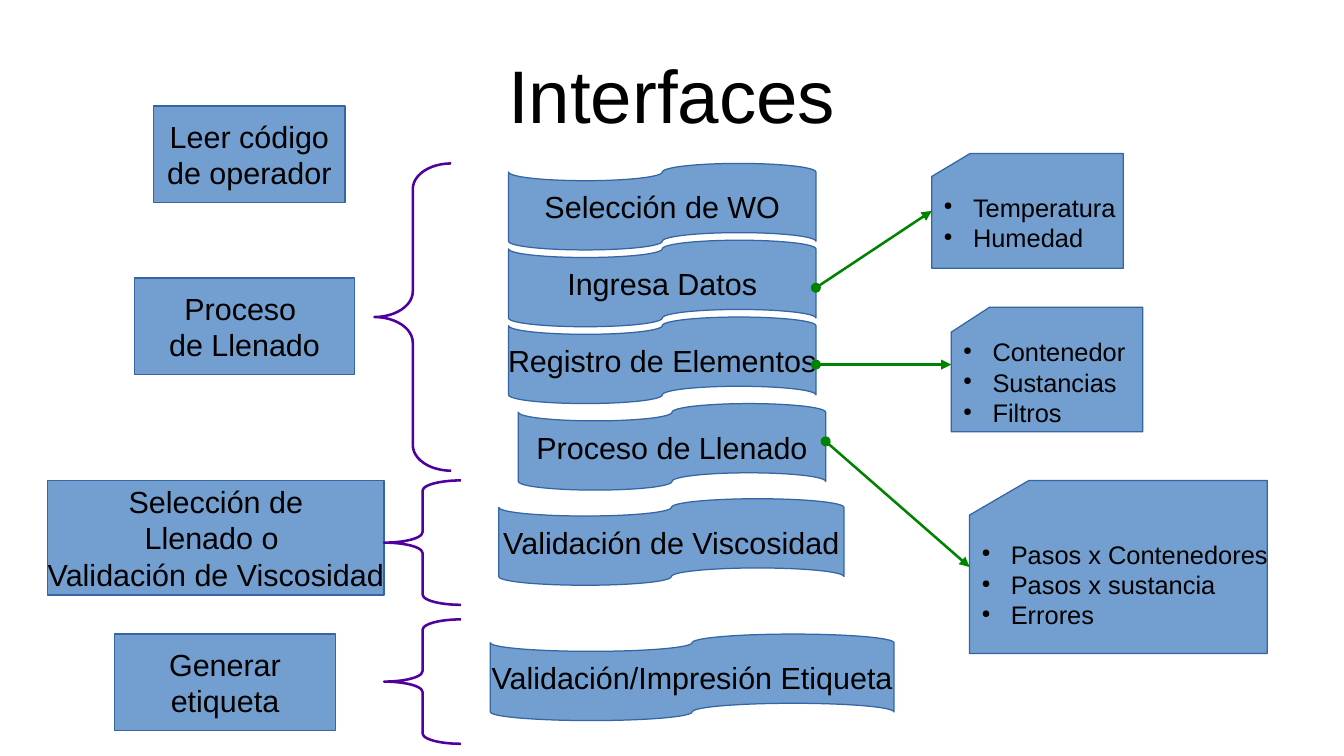
"""Build the "Interfaces" slide: process steps, their screens and the data captured."""
from dataclasses import dataclass
from typing import Optional

from lxml import etree
from pptx import Presentation
from pptx import util as u
from pptx.dml.color import RGBColor
from pptx.enum import shapes, text
from pptx.oxml import ns


@dataclass(frozen=True)
class Theme:
    """Colours, font and type sizes of the slide."""
    font: str = "Arial"
    ink: str = "000000"
    fill: str = "729FCF"
    outline: str = "3465A4"
    brace: str = "4F009E"
    arrow: str = "008400"
    title_size: int = 44
    box_size: int = 18
    list_size: int = 15
    line_width: float = 1.5


@dataclass(frozen=True)
class Box:
    """A filled shape with its lines of text."""
    kind: shapes.MSO_SHAPE
    left: float
    top: float
    width: float
    height: float
    lines: tuple[str, ...]


@dataclass(frozen=True)
class Brace:
    """A left brace that groups several screens."""
    left: float
    top: float
    height: float


@dataclass(frozen=True)
class Arrow:
    """An arrow from a screen to a card, joined to the card if one is given."""
    start: tuple[float, float]
    end: tuple[float, float]
    card: Optional[int] = None


THEME = Theme()
RECTANGLE = shapes.MSO_SHAPE.RECTANGLE
TAPE = shapes.MSO_SHAPE.FLOWCHART_PUNCHED_TAPE
CARD = shapes.MSO_SHAPE.FLOWCHART_CARD
TAPE_HEIGHT = 0.71
BRACE_WIDTH = 0.63
LEFT_SIDE = 1

STEPS = (
    Box(RECTANGLE, 1.26, 0.87, 1.57, 0.79, ("Leer código", "de operador")),
    Box(RECTANGLE, 1.1, 2.28, 1.81, 0.79, ("Proceso ", "de Llenado")),
    Box(RECTANGLE, 0.39, 3.94, 2.76, 0.94,
        ("Selección de", "Llenado o ", "Validación de Viscosidad")),
    Box(RECTANGLE, 0.94, 5.2, 1.81, 0.79, ("Generar", "etiqueta")),
)
SCREENS = (
    Box(TAPE, 4.17, 1.34, 2.52, TAPE_HEIGHT, ("Selección de WO",)),
    Box(TAPE, 4.17, 1.97, 2.52, TAPE_HEIGHT, ("Ingresa Datos",)),
    Box(TAPE, 4.17, 2.6, 2.52, TAPE_HEIGHT, ("Registro de Elementos",)),
    Box(TAPE, 4.25, 3.31, 2.52, TAPE_HEIGHT, ("Proceso de Llenado",)),
    Box(TAPE, 4.09, 4.09, 2.83, TAPE_HEIGHT, ("Validación de Viscosidad",)),
    Box(TAPE, 4.02, 5.2, 3.31, TAPE_HEIGHT, ("Validación/Impresión Etiqueta",)),
)
CARDS = (
    Box(CARD, 7.64, 1.26, 1.57, 0.94, ("Temperatura", "Humedad")),
    Box(CARD, 7.8, 2.52, 1.57, 1.02, ("Contenedor", "Sustancias", "Filtros")),
    Box(CARD, 7.95, 3.94, 2.44, 1.42,
        ("Pasos x Contenedores", "Pasos x sustancia", "Errores")),
)
BRACES = (Brace(3.07, 1.34, 2.52), Brace(3.15, 3.94, 1.02), Brace(3.15, 5.08, 1.02))
ARROWS = (
    Arrow((6.69, 2.36), (7.64, 1.73), card=0),
    Arrow((6.69, 2.99), (7.8, 2.99)),
    Arrow((6.77, 3.62), (7.95, 4.65), card=2),
)


def add_bullet(paragraph) -> None:
    """Give a paragraph a small round bullet and a hanging indent."""
    properties = paragraph._p.get_or_add_pPr()
    properties.set("marL", str(u.Inches(0.24)))
    properties.set("indent", str(-u.Inches(0.24)))
    colour = etree.SubElement(properties, ns.qn("a:buClr"))
    etree.SubElement(colour, ns.qn("a:srgbClr"), val=THEME.ink)
    etree.SubElement(properties, ns.qn("a:buSzPct"), val="45000")
    etree.SubElement(properties, ns.qn("a:buChar"), char="●")


def write_text(shape, lines: tuple[str, ...], *, size: float, wrap: bool = False,
               bulleted: bool = False, margins: tuple[float, float] = (0.1, 0.05)) -> None:
    """Write one paragraph per line into a shape."""
    frame = shape.text_frame
    frame.word_wrap = wrap
    frame.auto_size = text.MSO_AUTO_SIZE.NONE
    frame.vertical_anchor = text.MSO_ANCHOR.MIDDLE
    frame.margin_left = frame.margin_right = u.Inches(margins[0])
    frame.margin_top = frame.margin_bottom = u.Inches(margins[1])
    for index, line in enumerate(lines):
        paragraph = frame.add_paragraph() if index else frame.paragraphs[0]
        paragraph.alignment = text.PP_ALIGN.LEFT if bulleted else text.PP_ALIGN.CENTER
        if bulleted:
            add_bullet(paragraph)
        run = paragraph.add_run()
        run.text = line
        run.font.name = THEME.font
        run.font.size = u.Pt(size)
        run.font.color.rgb = RGBColor.from_string(THEME.ink)


def draw_line(line, colour: str, width: float) -> None:
    """Set the colour and width of a line."""
    line.color.rgb = RGBColor.from_string(colour)
    line.width = u.Pt(width)


def add_box(slide, box: Box):
    """Draw a filled shape and return it."""
    shape = slide.shapes.add_shape(
        box.kind, *map(u.Inches, (box.left, box.top, box.width, box.height)))
    shape.shadow.inherit = False
    shape.fill.solid()
    shape.fill.fore_color.rgb = RGBColor.from_string(THEME.fill)
    draw_line(shape.line, THEME.outline, 0)
    is_card = box.kind == CARD
    write_text(shape, box.lines, bulleted=is_card,
               size=THEME.list_size if is_card else THEME.box_size)
    return shape


def add_brace(slide, brace: Brace) -> None:
    """Draw a left brace whose curves each take a twelfth of its height."""
    shape = slide.shapes.add_shape(
        shapes.MSO_SHAPE.LEFT_BRACE,
        *map(u.Inches, (brace.left, brace.top, BRACE_WIDTH, brace.height)))
    shape.shadow.inherit = False
    shape.adjustments[0] = brace.height / 12 / BRACE_WIDTH
    shape.fill.background()
    draw_line(shape.line, THEME.brace, THEME.line_width)


def add_arrow(slide, arrow: Arrow, cards: list) -> None:
    """Draw an arrow with a round start and a triangular end."""
    connector = slide.shapes.add_connector(
        shapes.MSO_CONNECTOR.STRAIGHT, *map(u.Inches, arrow.start + arrow.end))
    if arrow.card is not None:
        connector.end_connect(cards[arrow.card], LEFT_SIDE)
    draw_line(connector.line, THEME.arrow, THEME.line_width)
    line = connector.line._get_or_add_ln()
    etree.SubElement(line, ns.qn("a:headEnd"), type="oval")
    etree.SubElement(line, ns.qn("a:tailEnd"), type="triangle")
    etree.SubElement(connector._element.spPr, ns.qn("a:effectLst"))


def add_title(slide, title: str) -> None:
    """Place and format the title placeholder."""
    shape = slide.shapes.title
    shape.left, shape.top, shape.width, shape.height = map(
        u.Inches, (0.55, 0.25, 9.92, 1.04))
    write_text(shape, (title,), size=THEME.title_size, wrap=True, margins=(0, 0))


def main() -> None:
    """Build and save the presentation."""
    presentation = Presentation()
    presentation.slide_width = u.Inches(11.02)
    presentation.slide_height = u.Inches(6.2)
    slide = presentation.slides.add_slide(presentation.slide_layouts[5])
    add_title(slide, "Interfaces")
    for box in STEPS + SCREENS:
        add_box(slide, box)
    cards = [add_box(slide, card) for card in CARDS]
    for brace in BRACES:
        add_brace(slide, brace)
    for arrow in ARROWS:
        add_arrow(slide, arrow, cards)
    presentation.save("out.pptx")


if __name__ == "__main__":
    main()
